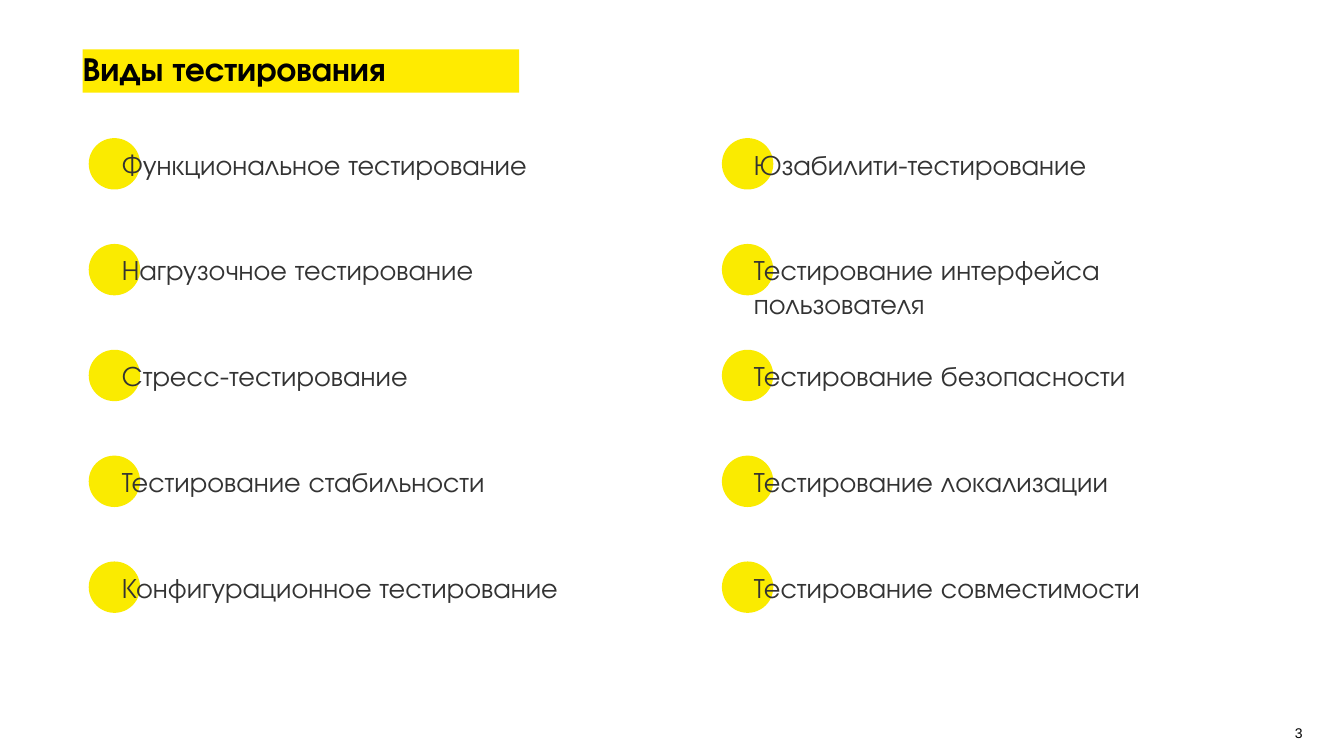
import pptx
import pptx.util
import pptx.dml.color
import pptx.enum.shapes
import pptx.enum.text

Inches, Pt = pptx.util.Inches, pptx.util.Pt
RGB = pptx.dml.color.RGBColor
SHAPE = pptx.enum.shapes.MSO_SHAPE
ALIGN = pptx.enum.text.PP_ALIGN
ANCHOR = pptx.enum.text.MSO_ANCHOR
FIT = pptx.enum.text.MSO_AUTO_SIZE

FACE = "TeX Gyre Adventor"
COLORS = {"band": "FFEB00", "dot": "FAEB00", "title": "000000", "item": "333333"}
# Each column: dot left, text left, text width, items
COLUMNS = [
    (0.88, 1.11, 5.2, [
        "Функциональное тестирование",
        "Нагрузочное тестирование",
        "Стресс-тестирование",
        "Тестирование стабильности",
        "Конфигурационное тестирование",
    ]),
    (7.16, 7.38, 4.54, [
        "Юзабилити-тестирование",
        "Тестирование интерфейса пользователя",
        "Тестирование безопасности",
        "Тестирование локализации",
        "Тестирование совместимости",
    ]),
]
TOP, STEP, DOT = 1.37, 1.05, 0.51


def write(shape, text, size, color, face=FACE, inset=True):
    """Fill a shape with one wrapped, top-anchored paragraph and return it."""
    frame = shape.text_frame
    frame.text = text
    frame.word_wrap = True
    frame.auto_size = FIT.NONE
    frame.vertical_anchor = ANCHOR.TOP
    if not inset:
        frame.margin_left = frame.margin_right = 0
        frame.margin_top = frame.margin_bottom = 0
    para = frame.paragraphs[0]
    para.alignment = ALIGN.LEFT
    para.font.name = face
    para.font.size = Pt(size)
    para.font.color.rgb = RGB.from_string(COLORS[color])
    return para


def draw(kind, left, top, width, height, color):
    """Add a plain filled shape without an outline."""
    shape = slide.shapes.add_shape(
        kind, Inches(left), Inches(top), Inches(width), Inches(height))
    shape.shadow.inherit = False
    shape.fill.solid()
    shape.fill.fore_color.rgb = RGB.from_string(COLORS[color])
    shape.line.fill.background()
    return shape


deck = pptx.Presentation()
deck.slide_width, deck.slide_height = Inches(13.33), Inches(7.5)
slide = deck.slides.add_slide(deck.slide_layouts[5])

# Title on its yellow band
title = slide.shapes.title
title.left, title.top = Inches(0.82), Inches(0.52)
title.width, title.height = Inches(9.17), Inches(0.83)
head = write(title, "Виды тестирования", 24, "title", inset=False)
head.font.bold = True
head.line_spacing = 0.9
band = draw(SHAPE.RECTANGLE, 0.82, 0.49, 4.33, 0.43, "band")
title.element.addprevious(band.element)

# Two columns of dotted items
for dot, left, width, items in COLUMNS:
    for row, item in enumerate(items):
        top = TOP + row * STEP
        draw(SHAPE.OVAL, dot, top, DOT, DOT, "dot")
        height = 0.77 if "интерфейса" in item else 0.44
        box = slide.shapes.add_textbox(
            Inches(left), Inches(top + 0.04), Inches(width), Inches(height))
        write(box, item, 20, "item")

# Page number
page = slide.shapes.add_textbox(
    Inches(12.08), Inches(7.19), Inches(0.84), Inches(0.17))
write(page, "3", 10, "title", "Arial", inset=False).alignment = ALIGN.RIGHT

deck.save("out.pptx")
